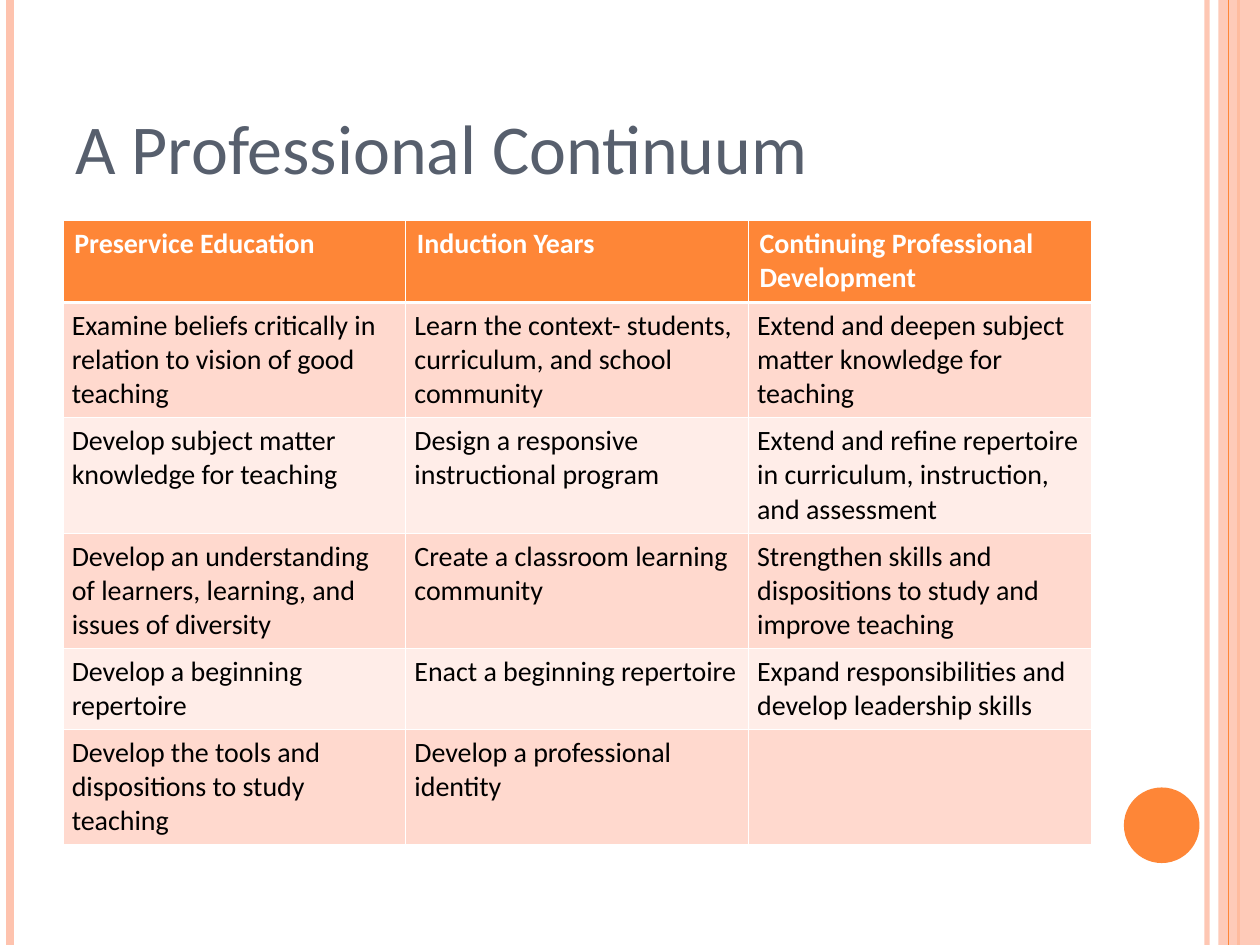
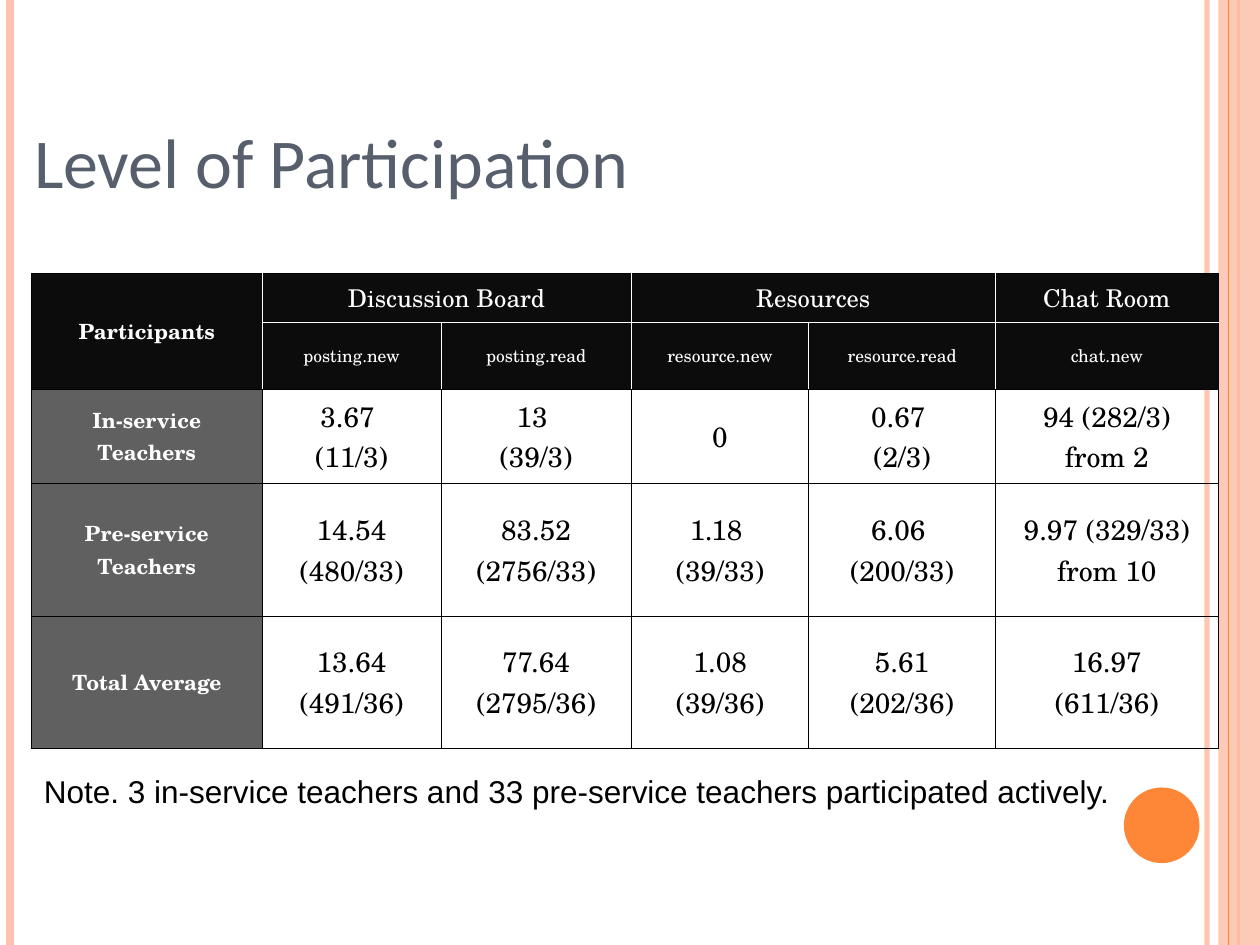
"""Builds two slides on teacher education: a professional continuum and participation levels."""
from lxml import etree
from pptx import Presentation
from pptx.dml.color import RGBColor
from pptx.enum.shapes import MSO_CONNECTOR, MSO_SHAPE
from pptx.enum.text import MSO_ANCHOR, MSO_AUTO_SIZE, PP_ALIGN
from pptx.oxml.ns import qn
from pptx.util import Inches, Pt

STRAIGHT = MSO_CONNECTOR.STRAIGHT
RECTANGLE, OVAL = MSO_SHAPE.RECTANGLE, MSO_SHAPE.OVAL
TOP, MIDDLE, BOTTOM = MSO_ANCHOR.TOP, MSO_ANCHOR.MIDDLE, MSO_ANCHOR.BOTTOM
LEFT, CENTER = PP_ALIGN.LEFT, PP_ALIGN.CENTER
FIXED, GROW = MSO_AUTO_SIZE.NONE, MSO_AUTO_SIZE.SHAPE_TO_FIT_TEXT

WHITE = RGBColor(0xFF, 0xFF, 0xFF)
BLACK = RGBColor(0x00, 0x00, 0x00)
SLATE = RGBColor(0x57, 0x5F, 0x6D)
ORANGE = RGBColor(0xFE, 0x86, 0x37)
PEACH = RGBColor(0xFE, 0xC3, 0xAE)
BAND_DARK = RGBColor(0xFF, 0xD9, 0xCE)
BAND_LIGHT = RGBColor(0xFF, 0xED, 0xE8)
HEADER_BLACK = RGBColor(0x0C, 0x0C, 0x0C)
LABEL_GRAY = RGBColor(0x60, 0x60, 0x60)

SANS, SERIF, NOTE_FONT = "Calibri", "TeX Gyre Schola", "Arial"
SLIDE_WIDTH, SLIDE_HEIGHT = 10, 7.5
THIN, THICK = 0.45, 1.47

# x, colour, width in points, opacity in percent
STRIPES_BELOW = [(9.58, PEACH, 3, 93), (0.08, PEACH, 4.5, 100), (9.83, ORANGE, 1.5, 100)]
STRIPES_ABOVE = [(9.75, ORANGE, 0.75, 100)]

CONTINUUM_TITLE = "A Professional Continuum"
CONTINUUM_COLUMNS = [2.72] * 3
CONTINUUM_HEIGHTS = [0.65, 0.82, 0.82, 0.82, 0.54, 0.82]
CONTINUUM = [
    ("Preservice Education", "Induction Years", "Continuing Professional Development"),
    ("Examine beliefs critically in relation to vision of good teaching",
     "Learn the context- students, curriculum, and school community",
     "Extend and deepen subject matter knowledge for teaching"),
    ("Develop subject matter knowledge for teaching",
     "Design a responsive instructional program",
     "Extend and refine repertoire in curriculum, instruction, and assessment"),
    ("Develop an understanding of learners, learning, and issues of diversity",
     "Create a classroom learning community",
     "Strengthen skills and dispositions to study and improve teaching"),
    ("Develop a beginning repertoire", "Enact a beginning repertoire",
     "Expand responsibilities and develop leadership skills"),
    ("Develop the tools and dispositions to study teaching",
     "Develop a professional identity", ""),
]

PARTICIPATION_TITLE = "Level of Participation"
PARTICIPATION_COLUMNS = [1.83, 1.42, 1.51, 1.41, 1.48, 1.77]
PARTICIPATION_HEIGHTS = [0.38, 0.53, 0.73, 1.05, 1.05]
PARTICIPATION = [
    ("Participants", "Discussion Board", "", "Resources", "", "Chat Room"),
    ("", "posting.new", "posting.read", "resource.new", "resource.read", "chat.new"),
    ("In-service Teachers", "3.67 \n(11/3)", "13 \n(39/3)", "0", "0.67 \n(2/3)",
     "94 (282/3)\nfrom 2"),
    ("Pre-service Teachers", "14.54 (480/33)", "83.52 (2756/33)", "1.18 \n(39/33)",
     "6.06 \n(200/33)", "9.97 (329/33)\nfrom 10"),
    ("Total Average", "13.64\n(491/36)", "77.64\n(2795/36)", "1.08\n(39/36)",
     "5.61\n(202/36)", "16.97\n(611/36)"),
]
PARTICIPATION_MERGES = [((0, 0), (1, 0)), ((0, 1), (0, 2)), ((0, 3), (0, 4))]
HEADER_ROWS = 2
HEADER_SIZES = [14, 10]
NOTE = "Note. 3 in-service teachers and 33 pre-service teachers participated actively."


def place(shape, left, top, width, height):
    shape.left, shape.top = Inches(left), Inches(top)
    shape.width, shape.height = Inches(width), Inches(height)


def write(frame, text, font, size, color, bold=False, align=LEFT, after=None):
    for index, line in enumerate(text.split("\n") if text else []):
        para = frame.add_paragraph() if index else frame.paragraphs[0]
        para.alignment = align
        if after is not None:
            para.space_after = Pt(after)
        span = para.add_run()
        span.text = line
        span.font.name, span.font.size = font, Pt(size)
        span.font.bold = bold
        span.font.color.rgb = color


def set_opacity(shape, percent):
    if percent < 100:
        color = shape.element.xpath(".//p:spPr//a:srgbClr")[0]
        etree.SubElement(color, qn("a:alpha"), val=str(percent * 1000))


def add_stripes(page, stripes):
    for x, color, width, opacity in stripes:
        stripe = page.shapes.add_connector(
            STRAIGHT, Inches(x), 0, Inches(x), Inches(SLIDE_HEIGHT))
        stripe.line.color.rgb = color
        stripe.line.width = Pt(width)
        set_opacity(stripe, opacity)
        etree.SubElement(stripe.element.spPr, qn("a:effectLst"))
        yield stripe


def add_solid(page, kind, color, left, top, width, height):
    shape = page.shapes.add_shape(
        kind, Inches(left), Inches(top), Inches(width), Inches(height))
    shape.shadow.inherit = False
    shape.fill.solid()
    shape.fill.fore_color.rgb = color
    shape.line.fill.background()
    return shape


def decorate_layout(layout, page):
    """Draws the shared stripes, band and disc, then moves them to the layout."""
    for holder in list(layout.placeholders)[1:]:
        holder.element.getparent().remove(holder.element)
    decor = list(add_stripes(page, STRIPES_BELOW))
    band = add_solid(page, RECTANGLE, PEACH, 9.67, 0, SLIDE_WIDTH - 9.67, SLIDE_HEIGHT)
    set_opacity(band, 87)
    decor.append(band)
    decor.extend(add_stripes(page, STRIPES_ABOVE))
    decor.append(add_solid(page, OVAL, ORANGE, 8.92, 6.25, 0.6, 0.6))
    for shape in decor:
        layout.shapes.element.append(shape.element)


def add_title(page, text, left, top, width, height):
    title = page.shapes.title
    place(title, left, top, width, height)
    frame = title.text_frame
    frame.auto_size = FIXED
    frame.vertical_anchor = BOTTOM
    write(frame, text, SANS, 40, SLATE)


def add_grid(page, left, top, widths, heights):
    grid = page.shapes.add_table(
        len(heights), len(widths), Inches(left), Inches(top),
        Inches(sum(widths)), Inches(sum(heights))).table
    grid.first_row = grid.horz_banding = False
    for column, width in zip(grid.columns, widths):
        column.width = Inches(width)
    for row, height in zip(grid.rows, heights):
        row.height = Inches(height)
    return grid


def format_cell(cell, fill, anchor, inset, borders):
    """Sets borders, given as (colour, points) for left, right, top, bottom, then the fill."""
    cell.vertical_anchor = anchor
    cell.margin_left = cell.margin_right = Inches(inset)
    cell.margin_top = cell.margin_bottom = Inches(0.05)
    properties = cell._tc.get_or_add_tcPr()
    for side, (color, points) in zip("LRTB", borders):
        line = etree.SubElement(properties, qn(f"a:ln{side}"), w=str(Pt(points)))
        solid = etree.SubElement(line, qn("a:solidFill"))
        etree.SubElement(solid, qn("a:srgbClr"), val=str(color))
    if fill is None:
        cell.fill.background()
    else:
        cell.fill.solid()
        cell.fill.fore_color.rgb = fill


def fill_continuum(page):
    add_title(page, CONTINUUM_TITLE, 0.5, 0.3, 8.17, 1.25)
    grid = add_grid(page, 0.5, 1.75, CONTINUUM_COLUMNS, CONTINUUM_HEIGHTS)
    for r, texts in enumerate(CONTINUUM):
        header = r == 0
        fill = ORANGE if header else BAND_DARK if r % 2 else BAND_LIGHT
        points = (THIN, THIN, THICK if r == 1 else THIN, THICK if header else THIN)
        for c, text in enumerate(texts):
            cell = grid.cell(r, c)
            format_cell(cell, fill, TOP, 0.09 if header else 0.07,
                        [(WHITE, width) for width in points])
            write(cell.text_frame, text, SANS, 16, WHITE if header else BLACK,
                  bold=header, after=None if header else 6)


def participation_borders(r, c):
    """Gives white lines between header cells and black lines elsewhere."""
    header = r < HEADER_ROWS
    last = len(PARTICIPATION_COLUMNS) - 1
    white = (header and c > 0, header and c < last, r == 1 and c > 0, r == 0 and c > 0)
    return [(WHITE if is_white else BLACK, THIN) for is_white in white]


def fill_participation(page):
    add_title(page, PARTICIPATION_TITLE, 0.17, 0.11, 9.08, 1.55)
    grid = add_grid(page, 0.25, 2.17, PARTICIPATION_COLUMNS, PARTICIPATION_HEIGHTS)
    for first, last in PARTICIPATION_MERGES:
        grid.cell(*first).merge(grid.cell(*last))
    for r, texts in enumerate(PARTICIPATION):
        header = r < HEADER_ROWS
        for c, text in enumerate(texts):
            label = c == 0
            fill = HEADER_BLACK if header else LABEL_GRAY if label else None
            size = 12 if label else HEADER_SIZES[r] if header else 16
            cell = grid.cell(r, c)
            format_cell(cell, fill, MIDDLE, 0.1, participation_borders(r, c))
            write(cell.text_frame, text, SERIF, size, WHITE if fill else BLACK,
                  bold=label, align=CENTER)
    box = page.shapes.add_textbox(Inches(0.25), Inches(6.08), Inches(8.83), Inches(0.4))
    frame = box.text_frame
    frame.word_wrap = True
    frame.auto_size = GROW
    frame.vertical_anchor = MIDDLE
    write(frame, NOTE, NOTE_FONT, 18, BLACK)


def main():
    deck = Presentation()
    deck.slide_width, deck.slide_height = Inches(SLIDE_WIDTH), Inches(SLIDE_HEIGHT)
    layout = deck.slide_layouts.get_by_name("Title Only")
    pages = [deck.slides.add_slide(layout) for _ in range(2)]
    decorate_layout(layout, pages[0])
    fill_continuum(pages[0])
    fill_participation(pages[1])
    deck.save("out.pptx")


if __name__ == "__main__":
    main()
